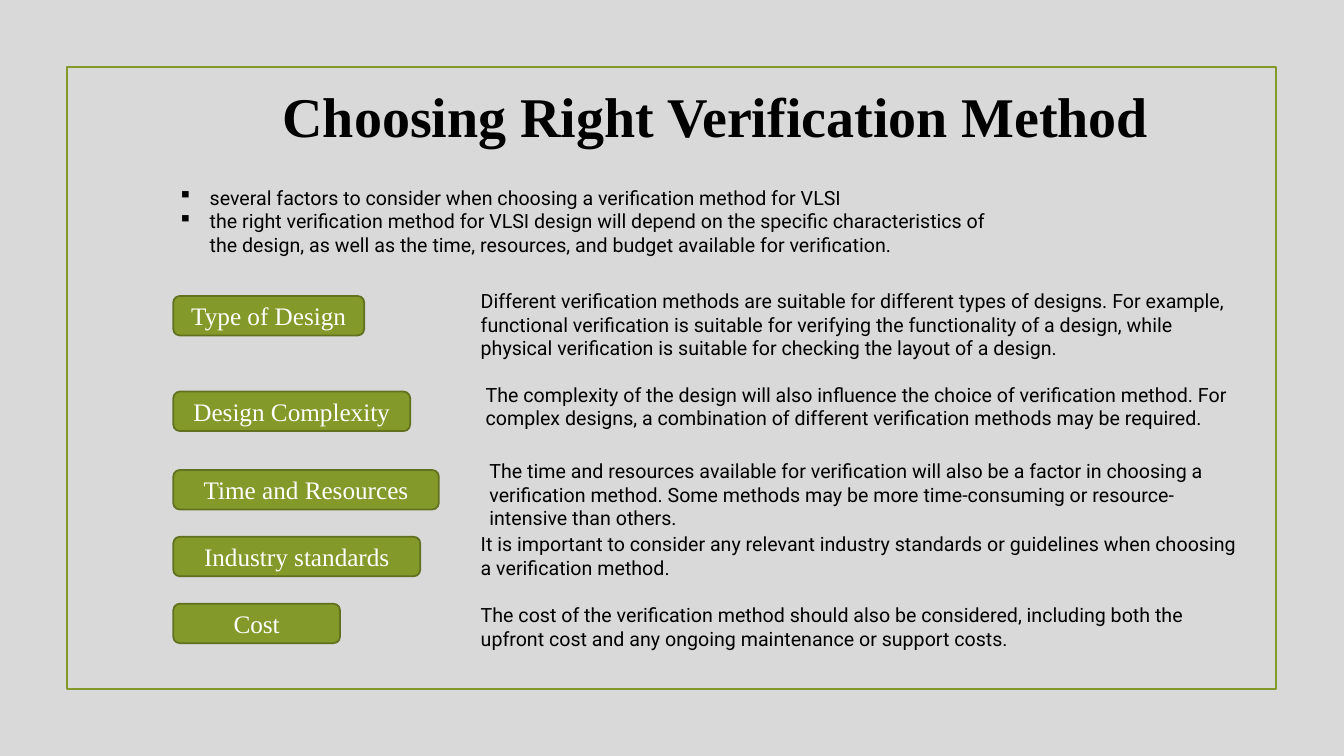
from lxml.etree import SubElement
from pptx import Presentation
from pptx.dml.color import RGBColor
from pptx.enum.shapes import MSO_SHAPE as SHAPE
from pptx.enum.text import MSO_ANCHOR as ANCHOR, MSO_AUTO_SIZE as AUTO_SIZE, PP_ALIGN as ALIGN
from pptx.oxml.ns import qn
from pptx.util import Pt

GREEN = "83992A"


def color(value):
    return RGBColor.from_string(value)


def write(shape, texts, font_name, size, text_color="000000", align=ALIGN.LEFT):
    frame = shape.text_frame
    frame.word_wrap = True
    frame.text = "\n".join(texts)
    for paragraph in frame.paragraphs:
        paragraph.alignment = align
        paragraph.font.name = font_name
        paragraph.font.size = Pt(size)
        paragraph.font.color.rgb = color(text_color)
    return frame


presentation = Presentation()
presentation.slide_width, presentation.slide_height = Pt(960), Pt(540)
slide = presentation.slides.add_slide(presentation.slide_layouts[6])
slide.background.fill.solid()
slide.background.fill.fore_color.rgb = color("D9D9D9")

# Border
border = slide.shapes.add_shape(SHAPE.RECTANGLE, Pt(47.7), Pt(48), Pt(864), Pt(444))
border.shadow.inherit = False
border.fill.background()
border.line.color.rgb = color(GREEN)
border.line.width = Pt(1.25)

# Title
title = slide.shapes.add_textbox(Pt(192), Pt(54.7), Pt(638), Pt(55.4))
frame = write(title, ["Choosing Right Verification Method"], "Times New Roman", 40, align=ALIGN.CENTER)
frame.auto_size = AUTO_SIZE.SHAPE_TO_FIT_TEXT
frame.paragraphs[0].font.bold = True

# Introduction bullets
introduction = slide.shapes.add_textbox(Pt(120.2), Pt(128.9), Pt(606), Pt(58.3))
frame = write(introduction, [
    "several factors to consider when choosing a verification method for VLSI",
    "the right verification method for VLSI design will depend on the specific characteristics of "
    "the design, as well as the time, resources, and budget available for verification.",
], "Roboto", 14)
frame.auto_size = AUTO_SIZE.SHAPE_TO_FIT_TEXT
for paragraph in frame.paragraphs:
    properties = paragraph._p.get_or_add_pPr()
    properties.set("marL", str(Pt(22.5)))
    properties.set("indent", str(-Pt(22.5)))
    bullet = SubElement(properties, qn("a:buChar"))
    bullet.set("char", "▪")
    # The bullet must precede the default run properties
    properties.insert(0, bullet)

# Factors: label, label top and width, description left, top and height, description
factors = [
    ("Type of Design", 211.4, 136.4, 336.3, 203, 58.3,
     "Different verification methods are suitable for different types of designs. For example, "
     "functional verification is suitable for verifying the functionality of a design, while "
     "physical verification is suitable for checking the layout of a design."),
    ("Design Complexity", 279.7, 169.2, 339.8, 269.6, 41.2,
     "The complexity of the design will also influence the choice of verification method. For "
     "complex designs, a combination of different verification methods may be required."),
    ("Time and Resources", 335.7, 189.7, 342.5, 324.5, 41.2,
     "The time and resources available for verification will also be a factor in choosing a "
     "verification method. Some methods may be more time-consuming or resource-intensive than others."),
    ("Industry standards", 383.4, 176.4, 336.3, 376.6, 41.2,
     "It is important to consider any relevant industry standards or guidelines when choosing "
     "a verification method."),
    ("Cost", 431.2, 119.1, 336.3, 427.2, 41.2,
     "The cost of the verification method should also be considered, including both the "
     "upfront cost and any ongoing maintenance or support costs."),
]
for name, label_top, label_width, left, top, height, description in factors:
    label = slide.shapes.add_shape(SHAPE.FLOWCHART_ALTERNATE_PROCESS,
                                   Pt(123.8), Pt(label_top), Pt(label_width), Pt(28.2))
    label.shadow.inherit = False
    label.fill.solid()
    label.fill.fore_color.rgb = color(GREEN)
    label.line.color.rgb = color("61711F")
    label.line.width = Pt(1.25)
    frame = write(label, [name], "Times New Roman", 18, "FFFFFF", ALIGN.CENTER)
    frame.vertical_anchor = ANCHOR.MIDDLE

    detail = slide.shapes.add_textbox(Pt(left), Pt(top), Pt(558.7), Pt(height))
    frame = write(detail, [description], "Roboto", 14)
    frame.auto_size = AUTO_SIZE.SHAPE_TO_FIT_TEXT

presentation.save("out.pptx")
